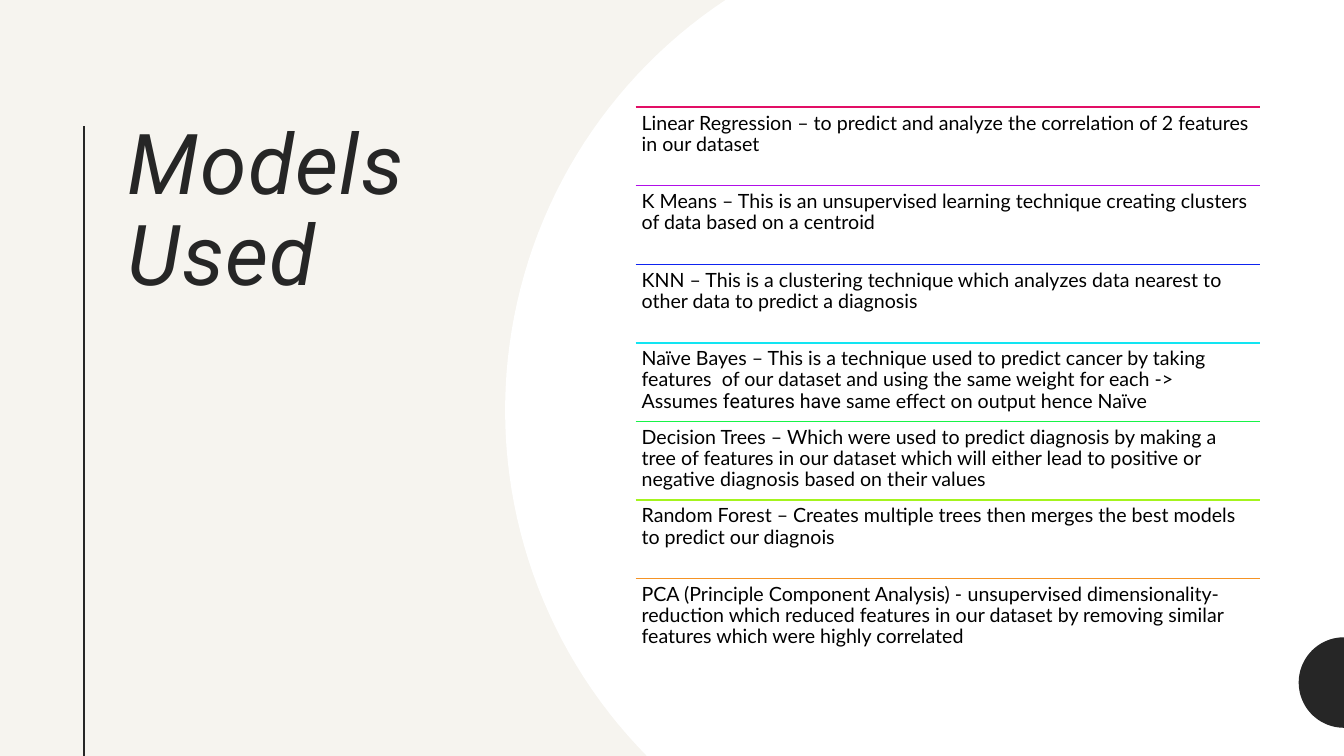
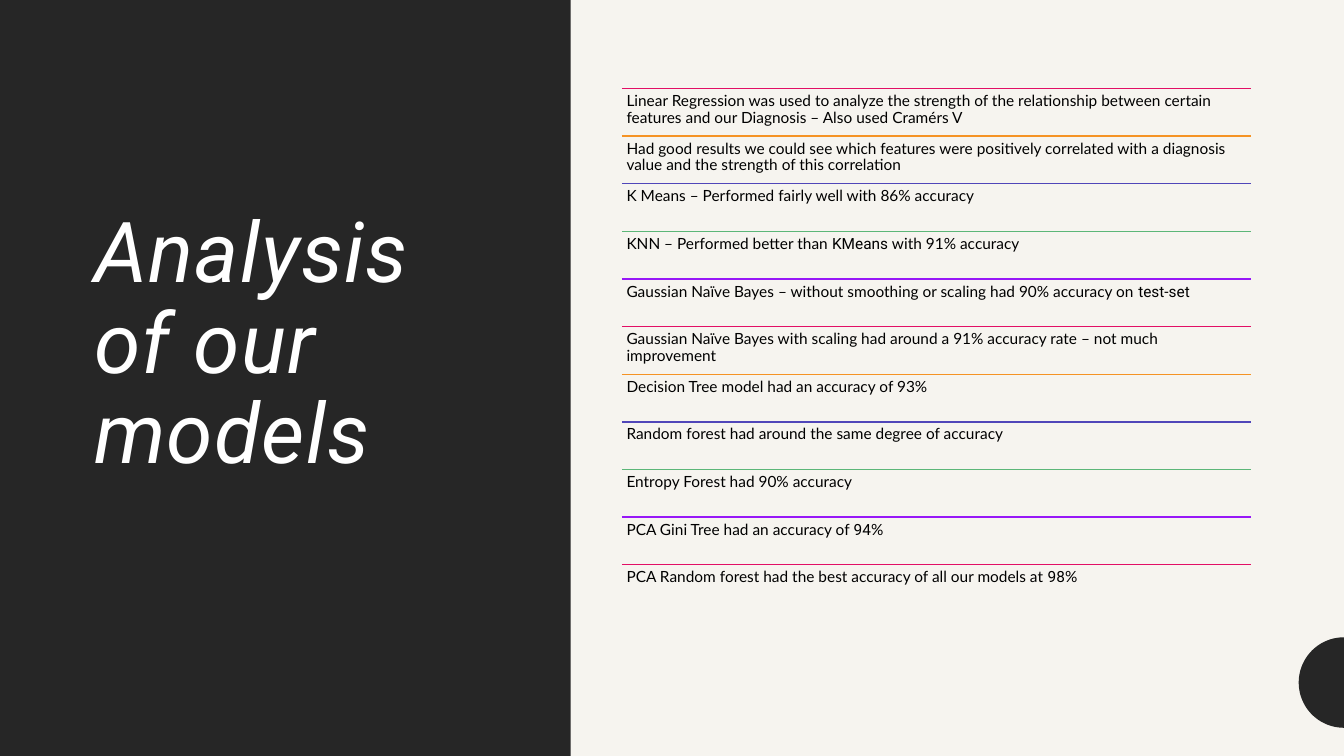
"""Build two slides on the models used and how well they did."""
import math

from lxml import etree
from pptx import Presentation
from pptx import util as u
from pptx.dml.color import RGBColor
from pptx.enum import shapes, text
from pptx.oxml.ns import qn

WIDE, HIGH = 33.87, 19.05
DARK, PALE, WHITE, BLACK = "262626", "F6F4EF", "FFFFFF", "000000"
HEAD, BODY = "Roboto", "Lato"
USED = [
    "Linear Regression – to predict and analyze the correlation of 2 features in our dataset",
    "K Means – This is an unsupervised learning technique creating clusters of data based on a centroid",
    "KNN – This is a clustering technique which analyzes data nearest to other data to predict a diagnosis",
    "Naïve Bayes – This is a technique used to predict cancer by taking features\u00a0 of our dataset "
    "and using the same weight for each -> Assumes |features have| same effect on output hence Naïve",
    "Decision Trees – Which were used to predict diagnosis by making a tree of features in our dataset "
    "which will either lead to positive or negative diagnosis based on their values",
    "Random Forest – Creates multiple trees then merges the best models to predict our diagnois",
    "PCA (Principle Component Analysis) -\u00a0unsupervised dimensionality-reduction which reduced "
    "features in our dataset by removing similar features which were highly correlated",
]
FOUND = [
    "Linear Regression was used to analyze the strength of the relationship between certain "
    "features and our Diagnosis – Also used Cramérs V",
    "Had good results we could see which features were positively correlated with a diagnosis "
    "value and the strength of this correlation",
    "K Means – Performed fairly well with 86% accuracy",
    "KNN – Performed better than |KMeans| with 91% accuracy",
    "Gaussian Naïve Bayes – without smoothing or scaling had 90% accuracy on |test-set|",
    "Gaussian Naïve Bayes with scaling had around a 91% accuracy rate – not much improvement",
    "Decision Tree model had an accuracy of 93%",
    "Random forest had around the same degree of accuracy",
    "Entropy Forest had 90% accuracy",
    "PCA Gini Tree had an accuracy of |94|%",
    "PCA Random forest had the best accuracy of all our models at |98|%",
]
BRIGHT = ["E20E65", "B10EE9", "0E23F0", "12E5F2", "18F348", "A4F41E", "F59324"]
CYCLE = ["E20E65", "F59324", "5046B9", "5CB678", "9717F7"]


def paint(fill, tone):
    """Give a fill one solid colour."""
    fill.solid()
    fill.fore_color.rgb = RGBColor.from_string(tone)


def plain(shape, tone):
    """Fill a shape without line or shadow."""
    paint(shape.fill, tone)
    shape.line.fill.background()
    shape.shadow.inherit = False


def write(frame, words, size, tone, font=BODY, italic=False, space=0, anchor="TOP"):
    """Write left-aligned words; parts between bars take the title font."""
    frame.word_wrap = True
    frame.auto_size = text.MSO_AUTO_SIZE.NONE
    frame.vertical_anchor = text.MSO_ANCHOR[anchor]
    para = frame.paragraphs[0]
    para.alignment = text.PP_ALIGN.LEFT
    para.line_spacing = 0.9
    for spot, part in enumerate(words.split("|")):
        run = para.add_run()
        run.text = part
        run.font.size = u.Pt(size)
        run.font.name = HEAD if spot % 2 else font
        run.font.italic = italic
        run.font.color.rgb = RGBColor.from_string(tone)
        if space:
            run.font._element.set("spc", str(space * 100))


def rule(slide, start, end, tone, width):
    """Draw a straight line between two points."""
    ends = [u.Cm(v) for v in (*start, *end)]
    line = slide.shapes.add_connector(shapes.MSO_CONNECTOR.STRAIGHT, *ends)
    line.line.color.rgb = RGBColor.from_string(tone)
    line.line.width = u.Pt(width)
    etree.SubElement(line._element.spPr, qn("a:effectLst"))


def disc(slide, left, mid, rad, tone):
    """Draw a disc cut off by the slide, filled out to its right edge."""
    low, high = (math.asin(max(-1, min(1, (y - mid) / rad))) for y in (0, HIGH))
    turns = [low + (high - low) * n / 60 for n in range(61)]
    dots = [(left + rad - rad * math.cos(a), mid + rad * math.sin(a)) for a in turns]
    dots += [(WIDE, dots[-1][1]), (WIDE, dots[0][1])]
    dots = [(u.Cm(x), u.Cm(y)) for x, y in dots]
    path = slide.shapes.build_freeform(*dots[0])
    path.add_line_segments(dots[1:], close=True)
    plain(path.convert_to_shape(), tone)


def title(slide, words, box, tone, anchor="TOP"):
    """Place and format the title above the shapes drawn so far."""
    head = slide.shapes.title
    head.left, head.top, head.width, head.height = (u.Cm(v) for v in box)
    write(head.text_frame, words, 60, tone, font=HEAD, italic=True, space=1, anchor=anchor)
    slide.shapes.element.append(head.element)


def rows(slide, items, tones, box, size, pad):
    """Stack texts at equal steps, each under a coloured line."""
    left, top, width, step = box
    for n, words in enumerate(items):
        y = top + n * step
        rule(slide, (left, y), (left + width, y), tones[n % len(tones)], 1)
        cell = slide.shapes.add_textbox(u.Cm(left), u.Cm(y), u.Cm(width), u.Cm(step))
        frame = cell.text_frame
        frame.margin_left = frame.margin_right = u.Cm(pad)
        frame.margin_top = frame.margin_bottom = u.Cm(pad)
        write(frame, words, size, BLACK)


def start(deck):
    """Add a title-only slide with the dark half disc at its edge."""
    slide = deck.slides.add_slide(deck.slide_layouts.get_by_name("Title Only"))
    disc(slide, WIDE - 1.14, 17.2, 1.14, DARK)
    return slide


def main():
    """Build and save the deck."""
    deck = Presentation()
    deck.slide_width, deck.slide_height = u.Cm(WIDE), u.Cm(HIGH)
    paint(deck.slide_master.background.fill, PALE)

    slide = deck.slides.add_slide(deck.slide_layouts.get_by_name("Title Only"))
    disc(slide, 12.73, 10.34, 12.4, WHITE)
    disc(slide, WIDE - 1.14, 17.2, 1.14, DARK)
    rule(slide, (2.12, 3.18), (2.12, HIGH), DARK, 1.5)
    title(slide, "Models Used", (2.97, 2.95, 8.66, 13.36), DARK)
    rows(slide, USED, BRIGHT, (16.02, 2.7, 15.73, 1.98), 14, 0.15)

    slide = start(deck)
    band = slide.shapes.add_shape(shapes.MSO_SHAPE.RECTANGLE, 0, 0, u.Cm(14.38), u.Cm(HIGH))
    plain(band, DARK)
    title(slide, "Analysis of our models", (2.12, 2.12, 10.64, 13.2), WHITE, "MIDDLE")
    rows(slide, FOUND, CYCLE, (15.67, 2.23, 15.85, 1.2), 11, 0.12)

    deck.save("out.pptx")


main()
